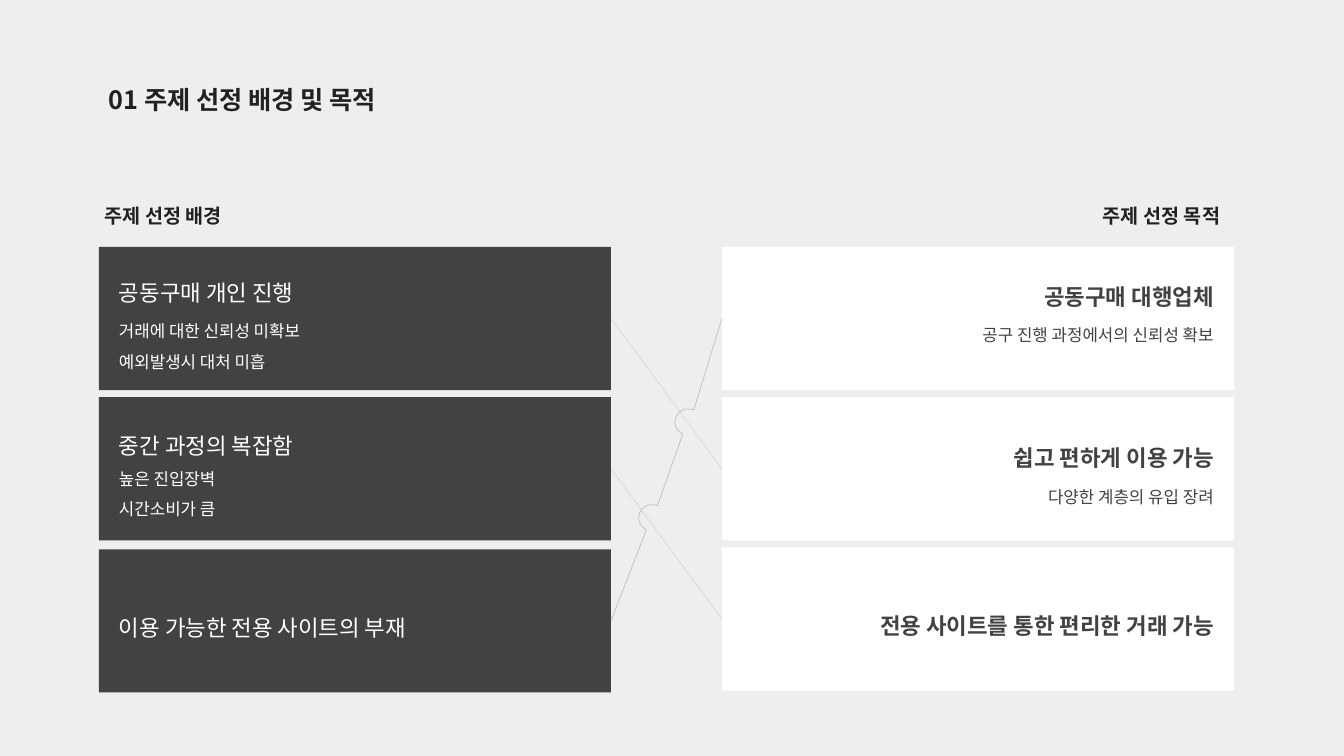
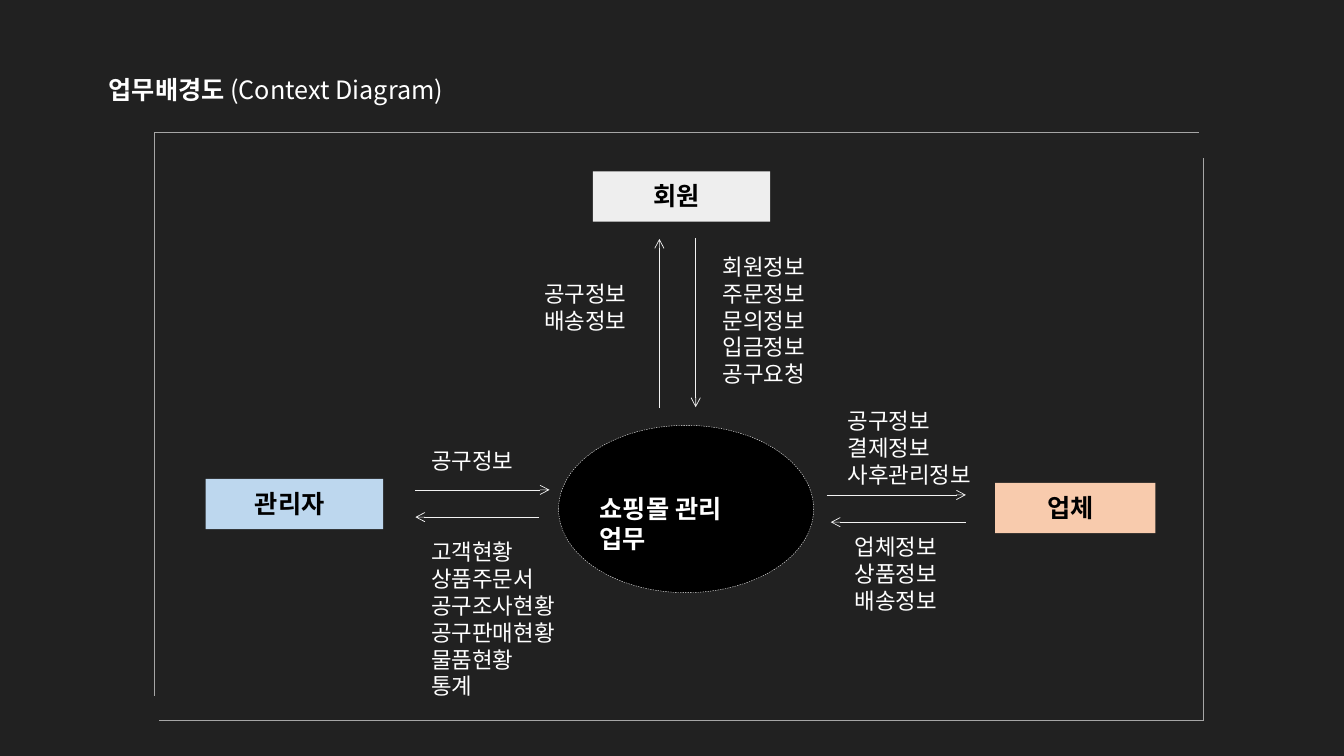
from pptx import Presentation
from pptx.util import Inches, Pt
from pptx.dml.color import RGBColor as RGB
from pptx.enum.dml import MSO_LINE as Dash
from pptx.enum.shapes import MSO_SHAPE as Kind, MSO_CONNECTOR as Conn
from pptx.enum.text import MSO_ANCHOR as Anchor, PP_ALIGN as Align
from pptx.oxml import parse_xml
from pptx.oxml.ns import nsdecls, qn

FONT = "Noto Sans CJK KR"
HUES = {
    "pale": "EEEEEE", "ink": "212121", "gray": "424242", "white": "FFFFFF",
    "black": "000000", "blue": "BDD7EE", "peach": "F8CBAD", "mist": "F2F2F2",
    "faint": "D9D9D9", "soft": "BFBFBF", "edge": "A6A6A6",
}
CARD_W, CARD_H = 5.08, 1.42
LEFT_X, RIGHT_X = 0.98, 7.16


def hue(name):
    """Return a named colour."""
    return RGB.from_string(HUES[name])


def write(frame, lines, size=16, color="white", bold=False, align=Align.LEFT,
          space=None, gap=0, sub=None, anchor=Anchor.TOP, wrap=False,
          pad=(0.1, 0.05, 0.1, 0.05)):
    """Fill a text frame; a line is a string or a list of (text, bold) runs.

    Lines after the first take the size sub, and gap is the space above the
    second line.
    """
    frame.word_wrap = wrap
    frame.vertical_anchor = anchor
    (frame.margin_left, frame.margin_top,
     frame.margin_right, frame.margin_bottom) = map(Inches, pad)
    for i, line in enumerate(lines):
        para = frame.paragraphs[0] if i == 0 else frame.add_paragraph()
        para.alignment = align
        if space:
            para.line_spacing = space
        if gap and i == 1:
            para.space_before = Pt(gap)
        heavy = bold and not (sub and i)
        runs = [(line, heavy)] if isinstance(line, str) else line
        for text, strong in runs:
            run = para.add_run()
            run.text = text
            font = run.font
            font.name = FONT
            font.size = Pt(sub if sub and i else size)
            font.bold = strong
            font.color.rgb = hue(color)
            face = parse_xml(f'<a:ea {nsdecls("a")} typeface="{FONT}"/>')
            run._r.rPr.find(qn("a:latin")).addnext(face)


def label(slide, x, y, w, h, lines, **fmt):
    """Add a text box."""
    box = slide.shapes.add_textbox(Inches(x), Inches(y), Inches(w), Inches(h))
    write(box.text_frame, lines, **fmt)


def block(slide, kind, x, y, w, h, fill=None, line=None, weight=0.5):
    """Add a plain preset shape."""
    shape = slide.shapes.add_shape(
        kind, Inches(x), Inches(y), Inches(w), Inches(h))
    shape.shadow.inherit = False
    if fill:
        shape.fill.solid()
        shape.fill.fore_color.rgb = hue(fill)
    else:
        shape.fill.background()
    if line:
        shape.line.color.rgb = hue(line)
        shape.line.width = Pt(weight)
    else:
        shape.line.fill.background()
    return shape


def link(slide, start, end, color, arrow=False):
    """Draw a thin straight line, with an arrowhead at its end if asked."""
    wire = slide.shapes.add_connector(
        Conn.STRAIGHT, *map(Inches, start + end))
    wire.line.color.rgb = hue(color)
    wire.line.width = Pt(0.5)
    if arrow:
        wire.line._get_or_add_ln().append(
            parse_xml(f'<a:tailEnd {nsdecls("a")} type="arrow"/>'))
    wire._element.spPr.append(parse_xml(f'<a:effectLst {nsdecls("a")}/>'))


def page(deck, back, title, top, color):
    """Add a slide with its background and title."""
    slide = deck.slides.add_slide(deck.slide_layouts[6])
    slide.background.fill.solid()
    slide.background.fill.fore_color.rgb = hue(back)
    label(slide, 0.98, top, 5.28, 0.5, [title], size=18, color=color,
          bold=True, space=1.5, wrap=True)
    return slide


def card(slide, x, y, lines, dark, gap=3.6, foot=0.05):
    """Add a card, dark and left-aligned or white and right-aligned."""
    shape = block(slide, Kind.RECTANGLE, x, y, CARD_W, CARD_H,
                  fill="gray" if dark else "white")
    write(shape.text_frame, lines, sub=12, space=1.5, gap=gap, wrap=True,
          anchor=Anchor.MIDDLE, bold=not dark,
          color="white" if dark else "gray",
          align=Align.LEFT if dark else Align.RIGHT,
          pad=(0.2, 0.05, 0.1, foot) if dark else (0.1, 0.05, 0.2, foot))


def entity(slide, x, y, w, text, fill):
    """Add a named box of the context diagram."""
    shape = block(slide, Kind.RECTANGLE, x, y, w, 0.5, fill=fill)
    write(shape.text_frame, [text], size=18, color="black", bold=True,
          align=Align.CENTER, anchor=Anchor.MIDDLE, wrap=True,
          pad=(0.1, 0.03, 0.19, 0.05))


def topic(deck):
    """Build the slide on background and purpose."""
    slide = page(deck, "pale", "01 주제 선정 배경 및 목적", 0.64, "ink")
    for x, text in ((0.86, "주제 선정 배경"), (10.76, "주제 선정 목적")):
        label(slide, x, 1.86, 1.52, 0.41, [text], size=14, color="ink",
              bold=True, align=Align.CENTER, space=1.5)

    card(slide, LEFT_X, 2.45, ["공동구매 개인 진행", "거래에 대한 신뢰성 미확보",
                               "예외발생시 대처 미흡"], True)
    card(slide, LEFT_X, 3.94, ["중간 과정의 복잡함", "높은 진입장벽",
                               "시간소비가 큼"], True, gap=0)
    card(slide, LEFT_X, 5.45, ["이용 가능한 전용 사이트의 부재"], True)
    card(slide, RIGHT_X, 2.45, ["공동구매 대행업체",
                                "공구 진행 과정에서의 신뢰성 확보"], False,
         foot=0.27)
    card(slide, RIGHT_X, 3.94, ["쉽고 편하게 이용 가능",
                                "다양한 계층의 유입 장려"], False)
    card(slide, RIGHT_X, 5.43, ["전용 사이트를 통한 편리한 거래 가능"], False)

    edge = LEFT_X + CARD_W
    for y in (3.16, 4.65):
        link(slide, (edge, y), (RIGHT_X, y + 1.49), "faint")
    for start, end in (((edge, 6.16), (6.41, 5.26)),
                       ((6.52, 5.02), (6.77, 4.31)),
                       ((RIGHT_X, 3.16), (6.88, 4.07))):
        link(slide, start, end, "soft")
    for x, y in ((6.34, 4.98), (6.7, 4.03)):
        hop = block(slide, Kind.LEFT_BRACKET, x, y, 0.13, 0.26, line="soft")
        hop.adjustments[0] = 1.02
        hop.rotation = 23.7


def context(deck):
    """Build the context diagram slide."""
    slide = page(deck, "ink", [("업무배경도", True),
                               (" (Context Diagram)", False)], 0.54, "white")
    left, top, right, base = 1.53, 1.31, 11.94, 7.15
    for start, end in (((left, top), (right - 0.05, top)),
                       ((left + 0.05, base), (right, base)),
                       ((left, top), (left, base - 0.25)),
                       ((right, top + 0.26), (right, base))):
        link(slide, start, end, "edge")

    core = block(slide, Kind.OVAL, 5.54, 4.22, 2.53, 1.66, fill="black",
                 line="white", weight=0.25)
    core.line.dash_style = Dash.DASH
    label(slide, 5.85, 4.84, 1.6, 0.7, ["쇼핑몰 관리 업무"], size=18,
          bold=True, wrap=True)

    entity(slide, 2.04, 4.75, 1.76, "관리자", "blue")
    entity(slide, 5.88, 1.7, 1.76, "회원", "pale")
    entity(slide, 9.87, 4.79, 1.59, "업체", "peach")

    for start, end in (((6.54, 4.05), (6.54, 2.37)),
                       ((6.9, 2.36), (6.9, 4.04)),
                       ((8.2, 4.91), (9.58, 4.91)),
                       ((9.58, 5.18), (8.24, 5.18)),
                       ((4.12, 4.86), (5.45, 4.86)),
                       ((5.35, 5.13), (4.12, 5.13))):
        link(slide, start, end, "mist", arrow=True)

    flows = (
        (7.07, 2.46, 1.1, "회원정보 주문정보 문의정보 입금정보 공구요청"),
        (5.3, 2.73, 1.1, "공구정보 배송정보"),
        (4.18, 4.39, 1.1, "공구정보"),
        (4.18, 5.29, 1.55,
         "고객현황 상품주문서 공구조사현황 공구판매현황 물품현황 통계"),
        (8.31, 3.99, 1.55, "공구정보 결제정보 사후관리정보"),
        (8.38, 5.24, 1.1, "업체정보 상품정보 배송정보"),
    )
    for x, y, w, text in flows:
        items = text.split()
        label(slide, x, y, w, 0.1 + 0.27 * len(items), items)


def main():
    """Build and save the deck."""
    deck = Presentation()
    deck.slide_width, deck.slide_height = Inches(13.33), Inches(7.5)
    topic(deck)
    context(deck)
    deck.save("out.pptx")


main()
